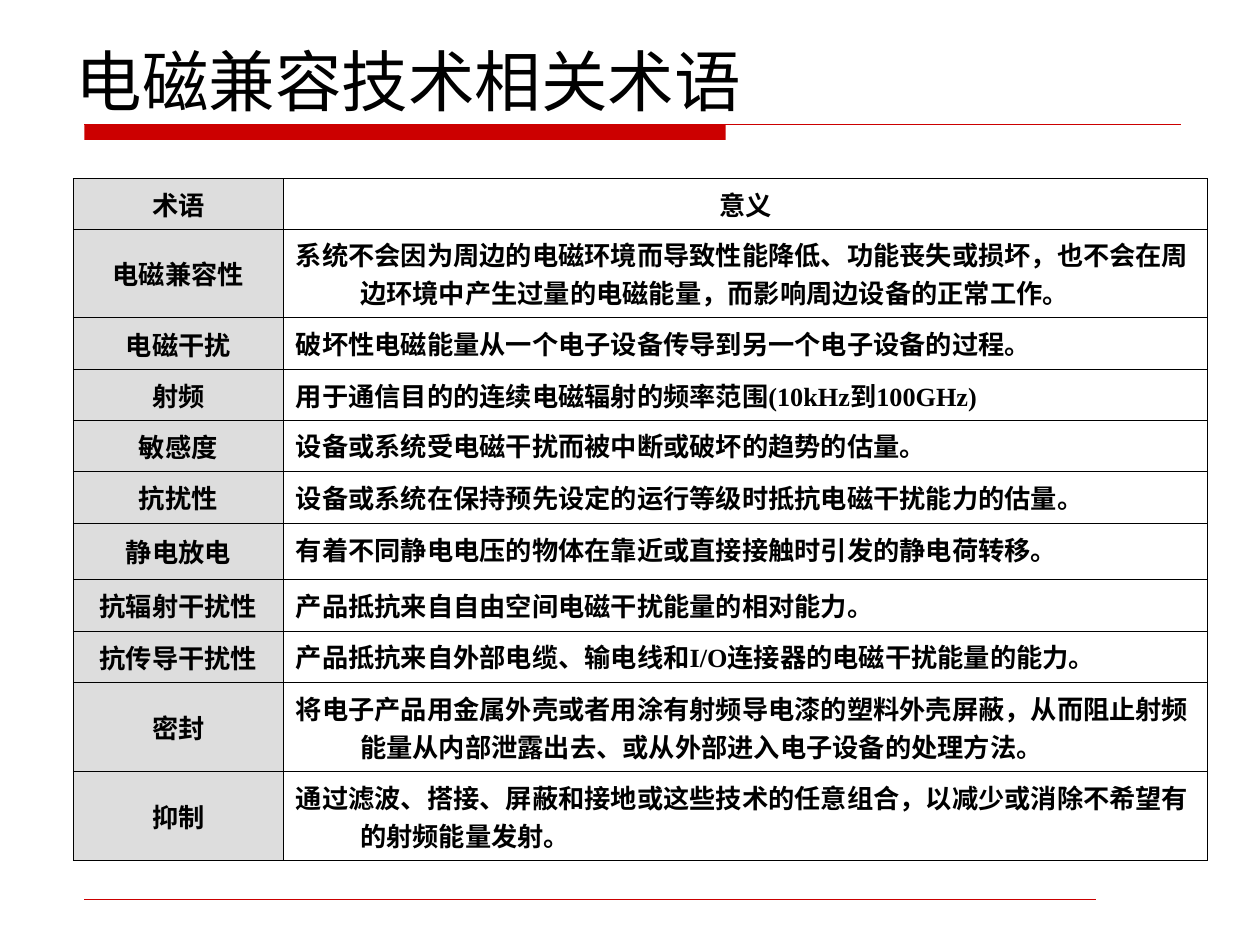
"""Build a slide with a glossary table of electromagnetic compatibility terms."""
from lxml import etree
from pptx import Presentation
from pptx.dml.color import RGBColor
from pptx.enum.lang import MSO_LANGUAGE_ID
from pptx.enum.shapes import MSO_CONNECTOR, MSO_SHAPE
from pptx.enum.text import MSO_ANCHOR, MSO_AUTO_SIZE, PP_ALIGN
from pptx.oxml.ns import qn
from pptx.util import Pt

STRAIGHT = MSO_CONNECTOR.STRAIGHT
RECTANGLE = MSO_SHAPE.RECTANGLE
MIDDLE, TOP, BOTTOM = MSO_ANCHOR.MIDDLE, MSO_ANCHOR.TOP, MSO_ANCHOR.BOTTOM
LEFT, CENTER = PP_ALIGN.LEFT, PP_ALIGN.CENTER
NO_AUTOFIT = MSO_AUTO_SIZE.NONE
CHINESE = MSO_LANGUAGE_ID.SIMPLIFIED_CHINESE

BLACK = RGBColor(0x00, 0x00, 0x00)
RED = RGBColor(0xCC, 0x00, 0x00)
GREY = RGBColor(0xDD, 0xDD, 0xDD)

TITLE_FONT = "DejaVu Sans"
TABLE_FONT = "Times New Roman"
RULE_LEFT = 48.24
HANGING_INDENT = 36.72
BORDER_WIDTH = 0.45
COLUMN_WIDTHS = (120, 528)

TERMS = [
    ("术语", "意义", 25.2),
    ("电磁兼容性", "系统不会因为周边的电磁环境而导致性能降低、功能丧失或损坏，"
     "也不会在周边环境中产生过量的电磁能量，而影响周边设备的正常工作。", 43.2),
    ("电磁干扰", "破坏性电磁能量从一个电子设备传导到另一个电子设备的过程。", 29.5),
    ("射频", "用于通信目的的连续电磁辐射的频率范围(10kHz到100GHz)", 29),
    ("敏感度", "设备或系统受电磁干扰而被中断或破坏的趋势的估量。", 29.5),
    ("抗扰性", "设备或系统在保持预先设定的运行等级时抵抗电磁干扰能力的估量。", 29.5),
    ("静电放电", "有着不同静电电压的物体在靠近或直接接触时引发的静电荷转移。", 32.2),
    ("抗辐射干扰性", "产品抵抗来自自由空间电磁干扰能量的相对能力。", 29.5),
    ("抗传导干扰性", "产品抵抗来自外部电缆、输电线和I/O连接器的电磁干扰能量的能力。", 29.5),
    ("密封", "将电子产品用金属外壳或者用涂有射频导电漆的塑料外壳屏蔽，"
     "从而阻止射频能量从内部泄露出去、或从外部进入电子设备的处理方法。", 43.2),
    ("抑制", "通过滤波、搭接、屏蔽和接地或这些技术的任意组合，"
     "以减少或消除不希望有的射频能量发射。", 43.2),
]


def format_runs(paragraph, font_name, size, bold):
    """Apply the font settings to every run of a paragraph."""
    for run in paragraph.runs:
        run.font.name = font_name
        run.font.size = Pt(size)
        run.font.bold = bold
        run.font.color.rgb = BLACK
        run.font.language_id = CHINESE


def set_title(slide, text):
    """Place and format the title placeholder."""
    title = slide.shapes.title
    title.left, title.top, title.width, title.height = Pt(36), Pt(5.76), Pt(648), Pt(66.24)
    text_frame = title.text_frame
    text_frame.text = text
    text_frame.auto_size = NO_AUTOFIT
    text_frame.vertical_anchor = BOTTOM
    paragraph = text_frame.paragraphs[0]
    paragraph.alignment = LEFT
    format_runs(paragraph, TITLE_FONT, 38, False)


def add_bar(slide, left, top, width, height):
    """Add the solid red bar under the title."""
    bar = slide.shapes.add_shape(RECTANGLE, Pt(left), Pt(top), Pt(width), Pt(height))
    bar.shadow.inherit = False
    bar.fill.solid()
    bar.fill.fore_color.rgb = RED
    bar.line.fill.background()


def add_rule(slide, left, right, top, weight):
    """Add a thin horizontal red line."""
    rule = slide.shapes.add_connector(STRAIGHT, Pt(left), Pt(top), Pt(right), Pt(top))
    rule.line.color.rgb = RED
    rule.line.width = Pt(weight)
    etree.SubElement(rule._element.spPr, qn("a:effectLst"))


def set_borders(cell):
    """Draw a thin black line on all four sides of a cell."""
    properties = cell._tc.get_or_add_tcPr()
    for side in ("a:lnL", "a:lnR", "a:lnT", "a:lnB"):
        border = etree.SubElement(properties, qn(side), w=str(Pt(BORDER_WIDTH)))
        fill = etree.SubElement(border, qn("a:solidFill"))
        etree.SubElement(fill, qn("a:srgbClr"), val=str(BLACK))


def fill_cell(cell, text, alignment, anchor, color=None):
    """Write and format one table cell."""
    set_borders(cell)
    if color is None:
        cell.fill.background()
    else:
        cell.fill.solid()
        cell.fill.fore_color.rgb = color
    cell.vertical_anchor = anchor
    cell.text_frame.text = text
    paragraph = cell.text_frame.paragraphs[0]
    paragraph.alignment = alignment
    properties = paragraph._p.get_or_add_pPr()
    properties.set("marL", str(Pt(HANGING_INDENT)))
    properties.set("indent", str(-Pt(HANGING_INDENT)))
    format_runs(paragraph, TABLE_FONT, 15, True)


def add_terms_table(slide):
    """Add the two-column table of terms and meanings."""
    total_height = sum(height for _, _, height in TERMS)
    table = slide.shapes.add_table(
        len(TERMS), len(COLUMN_WIDTHS), Pt(41.9), Pt(102),
        Pt(sum(COLUMN_WIDTHS)), Pt(total_height)).table
    table.first_row = False
    table.horz_banding = False
    for column, width in zip(table.columns, COLUMN_WIDTHS):
        column.width = Pt(width)
    for index, (term, meaning, height) in enumerate(TERMS):
        table.rows[index].height = Pt(height)
        fill_cell(table.cell(index, 0), term, CENTER, MIDDLE, GREY)
        meaning_alignment = CENTER if index == 0 else LEFT
        fill_cell(table.cell(index, 1), meaning, meaning_alignment, TOP)


def main():
    """Build and save the presentation."""
    presentation = Presentation()
    presentation.slide_width, presentation.slide_height = Pt(720), Pt(540)
    slide = presentation.slides.add_slide(presentation.slide_layouts[5])
    add_bar(slide, RULE_LEFT, 71.28, 366.5, 8.64)
    add_rule(slide, RULE_LEFT, 674.64, 71.28, 0.75)
    add_rule(slide, RULE_LEFT, 626.4, 514.08, 0.25)
    set_title(slide, "电磁兼容技术相关术语")
    add_terms_table(slide)
    presentation.save("out.pptx")


if __name__ == "__main__":
    main()
